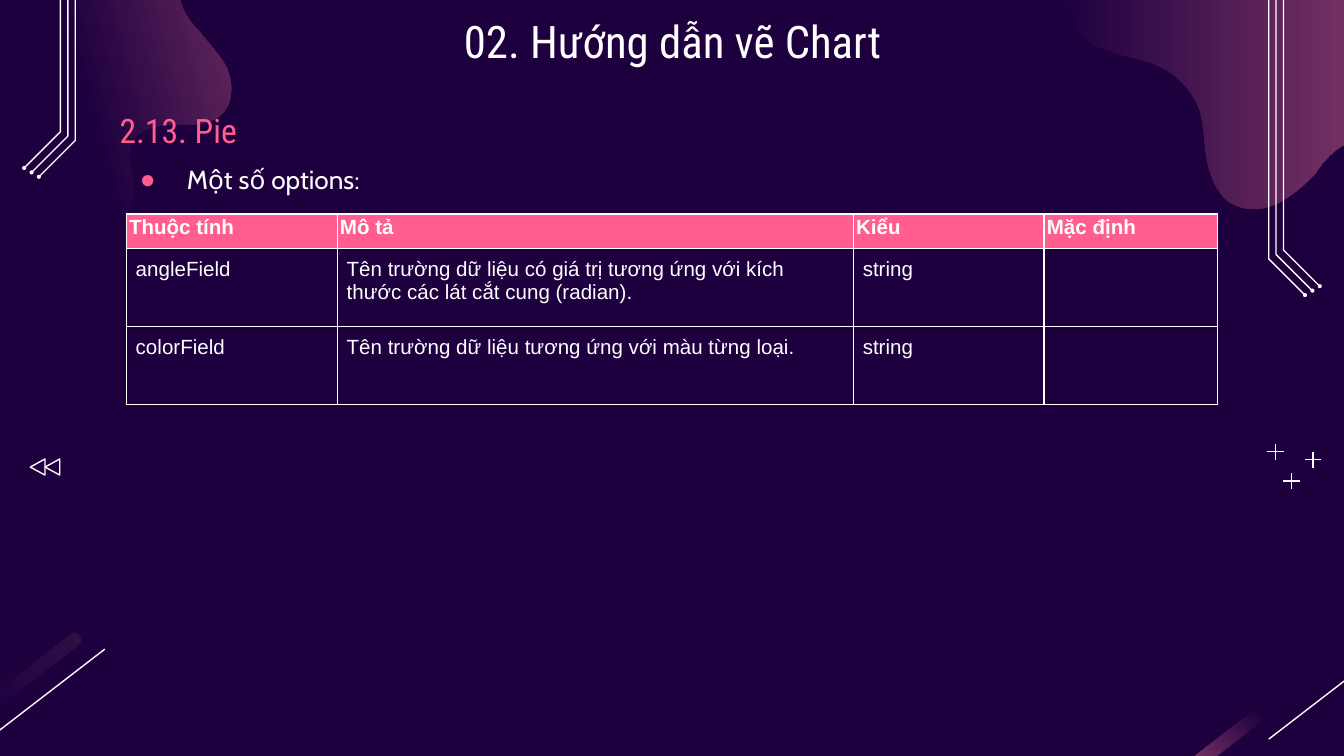
from dataclasses import dataclass

import pptx
import pptx.dml.color
import pptx.enum.shapes
import pptx.enum.text
import pptx.oxml
import pptx.oxml.ns
import pptx.util

RGBColor = pptx.dml.color.RGBColor
NIGHT = RGBColor(0x1E, 0x00, 0x3F)
MAUVE = RGBColor(0xA6, 0x4D, 0x79)
DIM = RGBColor(0x32, 0x0E, 0x46)
PINK = RGBColor(0xFF, 0x5E, 0x8E)
WHITE = RGBColor(0xFF, 0xFF, 0xFF)
NS = pptx.oxml.ns.nsdecls("a")


@dataclass
class Blob:
    curve: list
    dark_until: float
    angle: float


@dataclass
class Bar:
    x: float
    color: RGBColor
    angle: float


BLOBS = [
    Blob([
        (0.48, 1.9), (0.74, 1.83), (0.86, 1.69), (0.9, 1.65), (0.98, 1.56), (1.01, 1.43), (0.99, 1.31),
        (0.98, 1.24), (0.95, 1.17), (0.97, 1.11), (0.98, 1.02), (1.06, 0.97), (1.14, 0.95),
        (1.24, 0.92), (1.33, 0.93), (1.42, 0.93), (1.46, 0.93), (1.5, 0.92), (1.53, 0.91),
        (1.58, 0.9), (1.63, 0.88), (1.66, 0.84), (1.74, 0.75), (1.73, 0.61), (1.69, 0.51),
        (1.64, 0.41), (1.55, 0.32), (1.48, 0.23), (1.4, 0.15), (1.33, 0.04), (1.33, -0.07),
        (1.8, -0.42), (2.58, -0.42), (2.58, -0.87), (2.58, -1.3), (2, -1.5), (1.64, -1.5),
        (0.3, -0.7), (-1.94, -1.2), (-1.94, 0.22), (-1.94, 1.2), (-0.2, 0.9), (-0.03, 1.66),
        (0.06, 1.84), (0.29, 1.95), (0.48, 1.9),
    ], 0.53, 15),
    Blob([
        (11.25, 0.38), (11.25, -2), (7.89, -2), (7.89, -0.38), (7.89, -0.31), (7.89, -0.24), (7.9, -0.18),
        (7.91, 0), (7.96, 0.18), (8.09, 0.3), (8.25, 0.42), (8.47, 0.42), (8.64, 0.5),
        (8.78, 0.57), (8.88, 0.69), (8.93, 0.83), (8.96, 0.94), (8.96, 1.07), (8.98, 1.19),
        (9, 1.3), (9.05, 1.43), (9.14, 1.5), (9.24, 1.57), (9.38, 1.57), (9.49, 1.52),
        (9.6, 1.47), (9.69, 1.39), (9.78, 1.3), (9.83, 1.23), (9.88, 1.16), (9.95, 1.11),
        (10.02, 1.06), (10.1, 1.03), (10.18, 1.06), (10.33, 1.1), (10.38, 1.3), (10.52, 1.38),
        (10.85, 1.57), (11.25, 1.1), (11.25, 0.38),
    ], 0, 0),
]
BARS = [Bar(-0.14, DIM, 0), Bar(9.39, MAUVE, 180)]
PLUSES = [(9.61, 3.58), (9.77, 3.42), (9.49, 3.36)]
ROWS = [
    ("Thuộc tính", "Mô tả", "Kiểu", "Mặc định"),
    ("angleField", "Tên trường dữ liệu có giá trị tương ứng với kích thước các lát cắt cung (radian).", "string", ""),
    ("colorField", "Tên trường dữ liệu tương ứng với màu từng loại.", "string", ""),
]
COL_WIDTHS = [1.57, 3.84, 1.42, 1.29]
ROW_HEIGHTS = [0.26, 0.58, 0.58]


def emu(*lengths: float) -> list:
    return [pptx.util.Inches(v) for v in lengths]


def write(p, text: str, *, font: str, size: float, color=WHITE, bold=False) -> None:
    r = p.add_run()
    r.text = text
    r.font.name, r.font.size, r.font.bold = font, pptx.util.Pt(size), bold
    r.font.color.rgb = color


def fill_placeholder(s, sp, box: tuple, text: str, *, anchor="TOP", align="LEFT",
                     spacing: float = 1.0, after: float = 0, bullet: str = "", **font) -> None:
    sp.left, sp.top, sp.width, sp.height = emu(*box)
    s.shapes._spTree.append(sp._element)
    tf = sp.text_frame
    tf.word_wrap, tf.auto_size = True, pptx.enum.text.MSO_AUTO_SIZE.NONE
    tf.margin_left, tf.margin_right, tf.margin_top, tf.margin_bottom = emu(0.1, 0.1, 0.1, 0.1)
    tf.vertical_anchor = pptx.enum.text.MSO_ANCHOR[anchor]
    p = tf.paragraphs[0]
    pPr = p._p.get_or_add_pPr()
    left, indent = emu(0.5, -0.35) if bullet else (0, 0)
    pPr.set("marL", str(left))
    pPr.set("indent", str(indent))
    if bullet:
        pPr.append(pptx.oxml.parse_xml(f'<a:buClr {NS}><a:srgbClr val="{PINK}"/></a:buClr>'))
        pPr.append(pptx.oxml.parse_xml(f'<a:buChar {NS} char="{bullet}"/>'))
    else:
        pPr.append(pptx.oxml.parse_xml(f"<a:buNone {NS}/>"))
    p.alignment, p.line_spacing = pptx.enum.text.PP_ALIGN[align], spacing
    p.space_before, p.space_after = pptx.util.Pt(0), pptx.util.Pt(after)
    write(p, text, **font)


def glow(sp, color: RGBColor, dark_until: float, angle: float) -> None:
    sp.shadow.inherit = False
    sp.line.fill.background()
    sp.fill.gradient()
    sp.fill.gradient_angle = angle
    start, end = sp.fill.gradient_stops
    start.color.rgb, start.position = NIGHT, dark_until
    end.color.rgb, end.position = color, 1


def outline(sp) -> None:
    sp.shadow.inherit = False
    sp.fill.background()
    sp.line.color.rgb, sp.line.width = WHITE, pptx.util.Pt(0.75)


def add_polyline(s, points: list, close: bool):
    pts = [emu(*point) for point in points]
    fb = s.shapes.build_freeform(*pts[0], scale=1.0)
    fb.add_line_segments(pts[1:], close=close)
    return fb.convert_to_shape()


def add_line(s, x1: float, y1: float, x2: float, y2: float) -> None:
    ln = s.shapes.add_connector(pptx.enum.shapes.MSO_CONNECTOR.STRAIGHT, *emu(x1, y1, x2, y2))
    ln.line.color.rgb, ln.line.width = WHITE, pptx.util.Pt(0.75)
    ln._element.spPr.append(pptx.oxml.parse_xml(f"<a:effectLst {NS}/>"))


def add_blob(s, blob: Blob, steps: int = 8) -> None:
    pts = blob.curve[:1]
    for i in range(0, len(blob.curve) - 1, 3):
        for t in (k / steps for k in range(1, steps + 1)):
            weights = ((1 - t) ** 3, 3 * t * (1 - t) ** 2, 3 * t * t * (1 - t), t ** 3)
            pts.append([sum(w * q[axis] for w, q in zip(weights, blob.curve[i:i + 4])) for axis in (0, 1)])
    glow(add_polyline(s, pts, True), MAUVE, blob.dark_until, blob.angle)


def add_bar(s, bar: Bar) -> None:
    sp = s.shapes.add_shape(pptx.enum.shapes.MSO_SHAPE.ROUNDED_RECTANGLE, *emu(bar.x - 0.93, 5.25, 1.86, 0.1))
    sp.adjustments[0] = 0.5
    sp.rotation = -37.9
    glow(sp, bar.color, 0.5, bar.angle)
    add_line(s, bar.x + 0.92, 4.83, bar.x + 0.05, 5.5)


def add_traces(s, mirrored: bool, dy: float) -> None:
    for i in range(3):
        x, y = 9.55 - 0.055 * i, 1.86 + 0.033 * i + dy
        pts = [(x, dy - 1.19), (x, y), (x + 0.27, y + 0.27)]
        pts = [(10 - px if mirrored else px, py) for px, py in pts]
        outline(add_polyline(s, pts, False))
        ex, ey = pts[-1]
        dot = s.shapes.add_shape(pptx.enum.shapes.MSO_SHAPE.OVAL, *emu(ex - 0.015, ey - 0.015, 0.03, 0.03))
        dot.shadow.inherit = False
        dot.fill.solid()
        dot.fill.fore_color.rgb = WHITE
        dot.line.fill.background()


def add_options_table(s) -> None:
    tb = s.shapes.add_table(3, 4, *emu(0.94, 1.59, 8.12, 1.42)).table
    tb.first_row = tb.horz_banding = False
    for col, w in zip(tb.columns, emu(*COL_WIDTHS)):
        col.width = w
    for i, (row, h) in enumerate(zip(tb.rows, emu(*ROW_HEIGHTS))):
        row.height = h
        for cell, text in zip(row.cells, ROWS[i]):
            for side in "LRTB":
                cell._tc.get_or_add_tcPr().append(pptx.oxml.parse_xml(
                    f'<a:ln{side} {NS} w="12700"><a:solidFill><a:srgbClr val="{WHITE}"/></a:solidFill></a:ln{side}>'))
            margins = emu(*[0.07 if i else 0.02] * 4)
            cell.margin_left, cell.margin_right, cell.margin_top, cell.margin_bottom = margins
            if i:
                cell.fill.background()
            else:
                cell.fill.solid()
                cell.fill.fore_color.rgb = PINK
            if text:
                write(cell.text_frame.paragraphs[0], text, font="Arial", size=11, bold=i == 0)


prs = pptx.Presentation()
prs.slide_width, prs.slide_height = pptx.util.Inches(10), pptx.util.Pt(405)
s = prs.slides.add_slide(prs.slide_layouts[3])
s.background.fill.solid()
s.background.fill.fore_color.rgb = NIGHT
title, options, heading = s.placeholders
for blob in BLOBS:
    add_blob(s, blob)
for bar in BARS:
    add_bar(s, bar)
add_traces(s, False, 0)
add_traces(s, True, -0.88)
for x, y in PLUSES:
    add_line(s, x - 0.06, y, x + 0.06, y)
    add_line(s, x, y - 0.06, x, y + 0.06)
for x in (0.22, 0.33):
    sp = s.shapes.add_shape(pptx.enum.shapes.MSO_SHAPE.ISOSCELES_TRIANGLE, *emu(x, 3.42, 0.12, 0.11))
    sp.rotation = 270
    outline(sp)
fill_placeholder(s, options, (0.79, 1, 8.12, 0.5), "Một số options:", spacing=1.5, bullet="●", font="Cabin", size=14)
fill_placeholder(s, title, (0.79, 0, 8.43, 0.63), "02. Hướng dẫn vẽ Chart", align="CENTER",
                 font="Roboto Condensed", size=24)
fill_placeholder(s, heading, (0.79, 0.77, 7.02, 0.45), "2.13. Pie", anchor="BOTTOM", spacing=1.15, after=12,
                 font="Roboto Condensed", size=18, color=PINK)
add_options_table(s)
prs.save("out.pptx")
